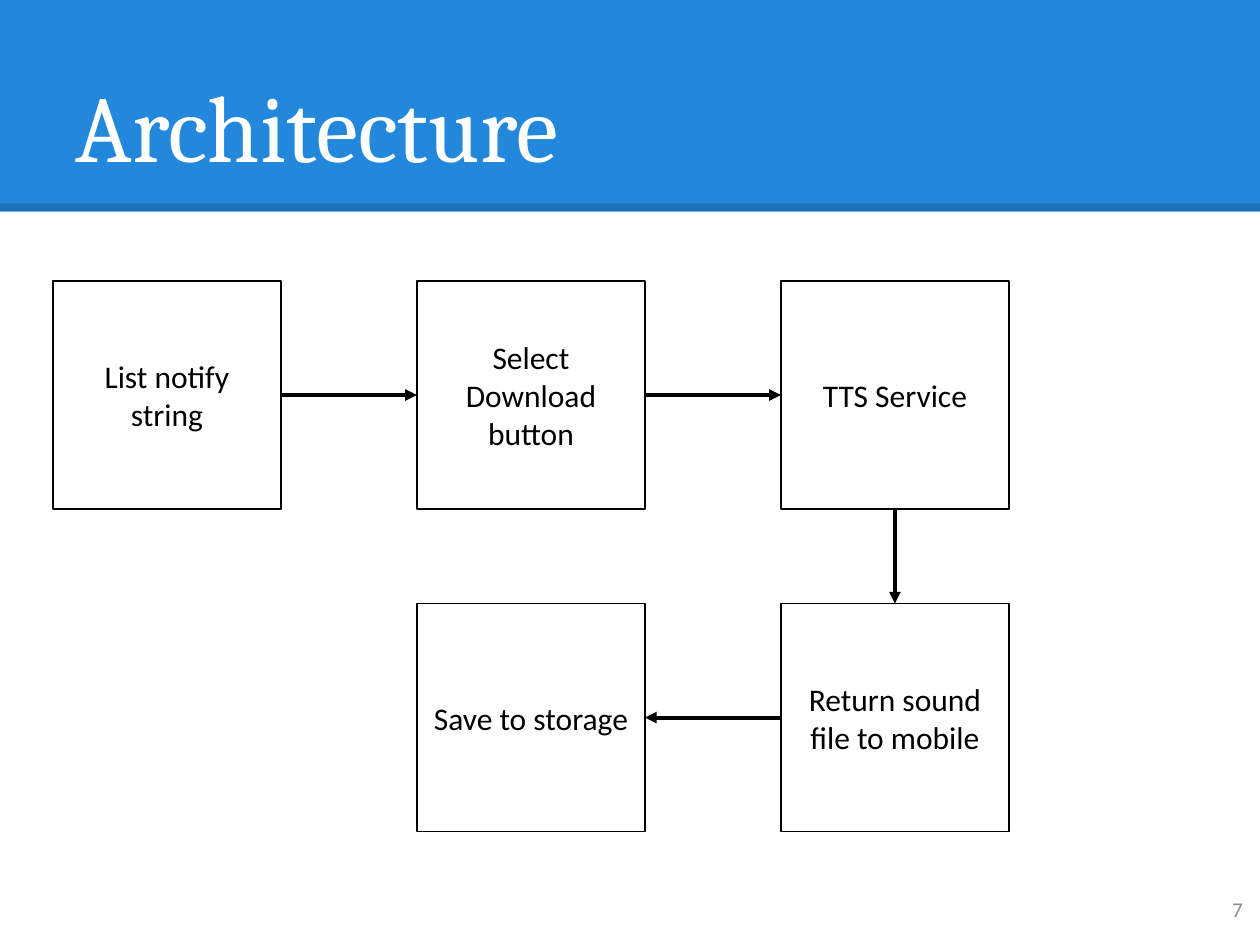
"""Build the Architecture slide: a five-step flow joined by arrows."""
from lxml.etree import SubElement
from pptx import Presentation
from pptx.dml.color import RGBColor
from pptx.enum.shapes import MSO_CONNECTOR, MSO_SHAPE
from pptx.enum.text import MSO_ANCHOR as ANCHOR, PP_ALIGN as ALIGN
from pptx.oxml.ns import qn
from pptx.util import Pt

BLUE = RGBColor(0x23, 0x88, 0xDB)
WHITE = RGBColor(0xFF, 0xFF, 0xFF)
BLACK = RGBColor(0, 0, 0)
GRAY = RGBColor(0x8C, 0x8C, 0x8C)
TOP, LEFT, BOTTOM, RIGHT = range(4)
BOX = 130.3
ORIGIN_X, ORIGIN_Y = 30.25, 160.6
STEP_X, STEP_Y = 208, 184.3


def add_line(shapes, width, start=(0, 0), end=(0, 0)):
    line = shapes.add_connector(MSO_CONNECTOR.STRAIGHT, *map(Pt, start + end))
    line.line.color.rgb = BLACK
    line.line.width = Pt(width)
    SubElement(line.element.spPr, qn("a:effectLst"))
    return line


def style_text(frame, size, font_name, color, anchor, align):
    frame.word_wrap = True
    frame.vertical_anchor = anchor
    frame.margin_left = frame.margin_right = Pt(7.2)
    paragraph = frame.paragraphs[0]
    paragraph.alignment = align
    font = paragraph.font
    font.size, font.name = Pt(size), font_name
    font.color.rgb = color


prs = Presentation()
prs.slide_width, prs.slide_height = Pt(720), Pt(540)
slide = prs.slides.add_slide(prs.slide_layouts[5])
shapes = slide.shapes

band = shapes.add_shape(MSO_SHAPE.RECTANGLE, 0, 0, Pt(720), Pt(121))
band.shadow.inherit = False
band.fill.solid()
band.fill.fore_color.rgb = BLUE
band.line.fill.background()

band_edge = add_line(shapes, 4.5, (0, 118.3), (720, 118.3))
edge_color = band_edge.element.spPr.find(".//" + qn("a:srgbClr"))
SubElement(edge_color, qn("a:alpha"), val="15000")

title = shapes.title
title.element.getparent().append(title.element)
title.left, title.top, title.width, title.height = Pt(36), Pt(21.6), Pt(648), Pt(90)
title.text_frame.text = "Architecture"
title.text_frame.margin_top = title.text_frame.margin_bottom = Pt(7.2)
style_text(title.text_frame, 54, "Cambria", WHITE, ANCHOR.BOTTOM, ALIGN.LEFT)
title.text_frame.paragraphs[0].line_spacing = 0.9

page_number = shapes.add_textbox(Pt(674), Pt(499), Pt(43.2), Pt(41))
page_number.text_frame.text = "7"
style_text(page_number.text_frame, 12, "Calibri", GRAY, ANCHOR.MIDDLE, ALIGN.RIGHT)

steps = [
    ("List notify string", 0, 0),
    ("Select Download button", 1, 0),
    ("TTS Service", 2, 0),
    ("Return sound file to mobile", 2, 1),
    ("Save to storage", 1, 1),
]
step_boxes = []
for label, column, row in steps:
    step = shapes.add_shape(
        MSO_SHAPE.RECTANGLE,
        Pt(ORIGIN_X + column * STEP_X),
        Pt(ORIGIN_Y + row * STEP_Y),
        Pt(BOX),
        Pt(BOX),
    )
    step.shadow.inherit = False
    step.fill.background()
    step.line.color.rgb = BLACK
    step.line.width = Pt(1)
    step.text_frame.text = label
    style_text(step.text_frame, 18, "Calibri", BLACK, ANCHOR.MIDDLE, ALIGN.CENTER)
    step_boxes.append(step)

sides = [(RIGHT, LEFT), (RIGHT, LEFT), (BOTTOM, TOP), (LEFT, RIGHT)]
for source, target, (exit_side, entry_side) in zip(step_boxes, step_boxes[1:], sides):
    arrow = add_line(shapes, 2.25)
    arrow.begin_connect(source, exit_side)
    arrow.end_connect(target, entry_side)
    SubElement(arrow.line._get_or_add_ln(), qn("a:tailEnd"), type="triangle")

prs.save("out.pptx")
